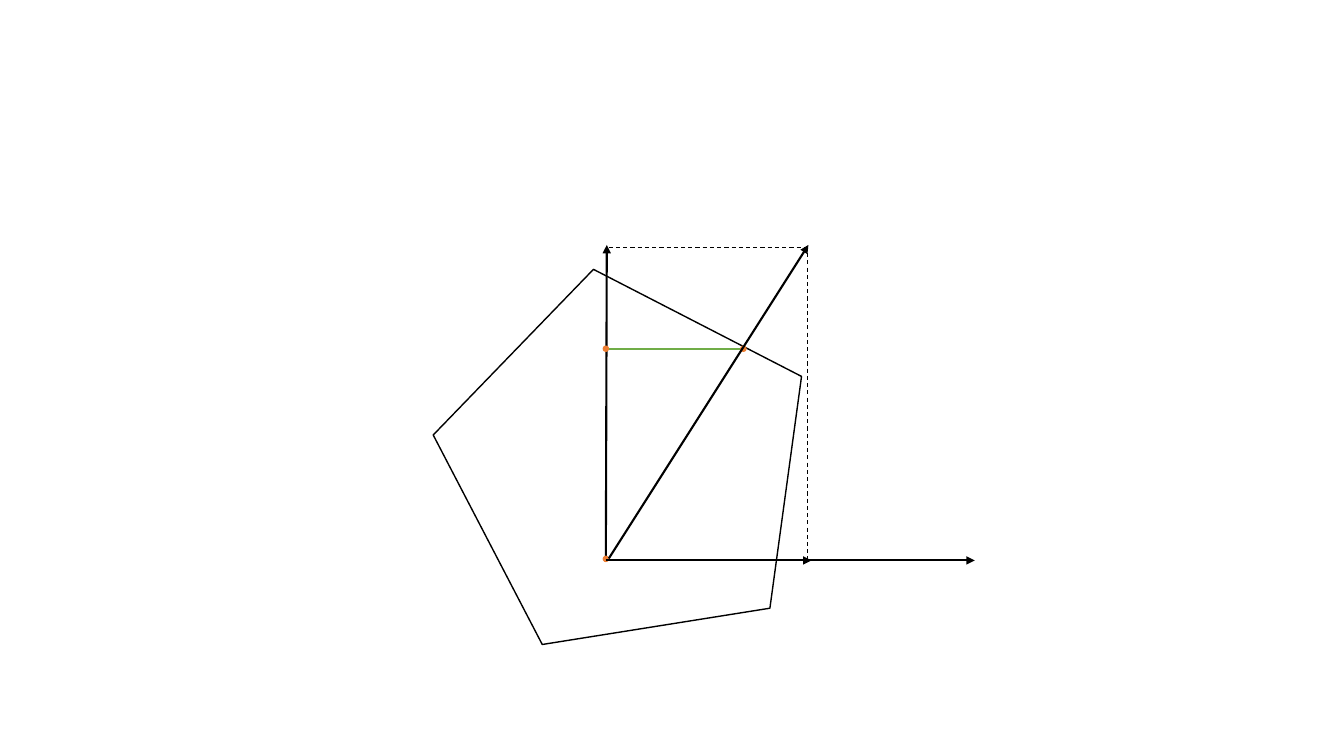
import pptx
import pptx.util
import pptx.dml.color
import pptx.enum.dml
import pptx.enum.shapes
import pptx.oxml.ns
import lxml.etree

# Content: positions in percent of the slide's width and height
SLIDE_SIZE = (13.333, 7.5)  # inches
THEME = {
    "outline": "000000", "paper": "FFFFFF", "link": "70AD47", "dot": "ED7D31",
    "thin": 0.75, "normal": 1, "bold": 1.5,
}
ORIGIN = (45.08, 74.13)
CORNER = (60.08, 32.8)
HIT = (55.31, 46.13)

PENTAGON = {"left": 33.75, "top": 37.2, "width": 28.43, "height": 46.8, "rotation": 62.5}
AXES = [(ORIGIN, (72.53, ORIGIN[1])), (ORIGIN, (45.15, 32.4))]
PROJECTION = ((ORIGIN[0], HIT[1]), HIT)
DOTS = [(ORIGIN[0], 73.93), HIT, (ORIGIN[0], HIT[1])]
DOT_SIZE = 0.05  # inches
GUIDES = [((CORNER[0], 32.53), (CORNER[0], ORIGIN[1])), ((45.3, CORNER[1]), CORNER)]
VECTORS = [((45.3, 73.87), (60.15, 32.4)), (ORIGIN, (60.38, ORIGIN[1]))]


def across(percent):
    return pptx.util.Inches(SLIDE_SIZE[0] * percent / 100)


def down(percent):
    return pptx.util.Inches(SLIDE_SIZE[1] * percent / 100)


def color(name):
    return pptx.dml.color.RGBColor.from_string(THEME[name])


def style_line(line, line_color, weight):
    line.color.rgb = color(line_color)
    line.width = pptx.util.Pt(THEME[weight])


def add_filled(slide, kind, box, fill, line_color):
    shape = slide.shapes.add_shape(kind, *box)
    shape.shadow.inherit = False
    shape.fill.solid()
    shape.fill.fore_color.rgb = color(fill)
    style_line(shape.line, line_color, "normal")
    return shape


def add_line(slide, ends, line_color="outline", weight="bold", arrow=False, dashed=False):
    (x1, y1), (x2, y2) = ends
    connector = slide.shapes.add_connector(
        pptx.enum.shapes.MSO_CONNECTOR.STRAIGHT, across(x1), down(y1), across(x2), down(y2))
    style_line(connector.line, line_color, weight)
    if dashed:
        connector.line.dash_style = pptx.enum.dml.MSO_LINE.DASH
    qualified = pptx.oxml.ns.qn
    properties = connector._element.spPr
    if arrow:
        outline = properties.find(qualified("a:ln"))
        lxml.etree.SubElement(outline, qualified("a:tailEnd"), type="triangle")
    lxml.etree.SubElement(properties, qualified("a:effectLst"))


def main():
    presentation = pptx.Presentation()
    presentation.slide_width, presentation.slide_height = map(pptx.util.Inches, SLIDE_SIZE)
    slide = presentation.slides.add_slide(presentation.slide_layouts[6])
    kinds = pptx.enum.shapes.MSO_SHAPE

    # Rotated pentagon
    box = (across(PENTAGON["left"]), down(PENTAGON["top"]),
           across(PENTAGON["width"]), down(PENTAGON["height"]))
    pentagon = add_filled(slide, kinds.REGULAR_PENTAGON, box, "paper", "outline")
    pentagon.rotation = PENTAGON["rotation"]

    # Axes and projection
    for axis in AXES:
        add_line(slide, axis, arrow=True)
    add_line(slide, PROJECTION, line_color="link")

    # Marked points
    size = pptx.util.Inches(DOT_SIZE)
    for x, y in DOTS:
        box = (across(x) - size // 2, down(y) - size // 2, size, size)
        add_filled(slide, kinds.OVAL, box, "dot", "dot")

    # Dashed guides and vectors
    for guide in GUIDES:
        add_line(slide, guide, weight="thin", dashed=True)
    for vector in VECTORS:
        add_line(slide, vector, arrow=True)

    presentation.save("out.pptx")


if __name__ == "__main__":
    main()
